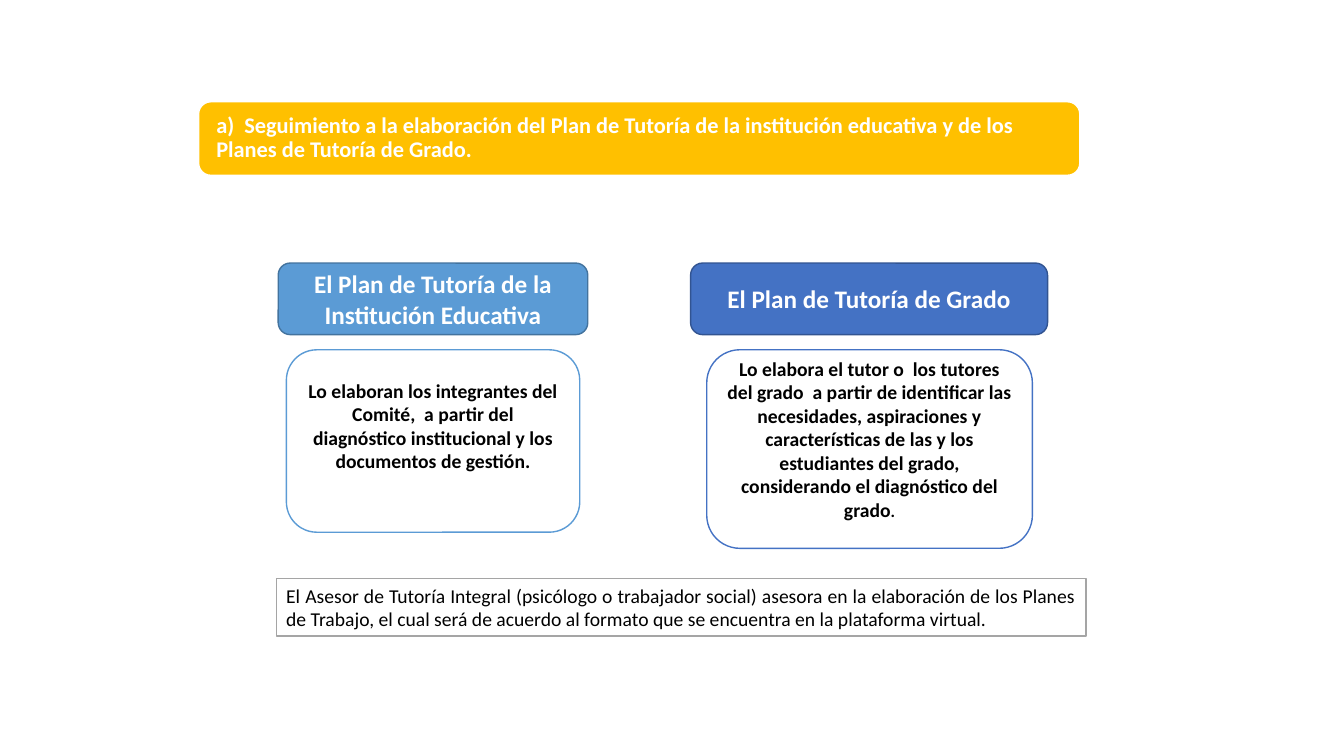
from dataclasses import dataclass

import pptx
import pptx.dml.color
import pptx.enum.shapes
import pptx.enum.text
import pptx.util

Inches = pptx.util.Inches
Pt = pptx.util.Pt
SHAPE = pptx.enum.shapes.MSO_SHAPE
ALIGN = pptx.enum.text.PP_ALIGN
ANCHOR = pptx.enum.text.MSO_ANCHOR

WHITE, BLACK, GOLD, GRAY = "FFFFFF", "000000", "FFC000", "A5A5A5"
SKY, SKY_DARK, BLUE, BLUE_DARK = "5B9BD5", "43739E", "4472C4", "325491"


@dataclass
class Box:
    """A filled, outlined box with one paragraph of text."""
    left: float
    top: float
    width: float
    height: float
    fill: str
    line: str
    text: str
    size: float
    color: str
    bold: bool = True
    align: ALIGN = ALIGN.CENTER
    anchor: ANCHOR = ANCHOR.MIDDLE
    shape: SHAPE = SHAPE.ROUNDED_RECTANGLE
    side_inset: float = 0.1
    bottom_inset: float = 0.05
    line_spacing: float = 1.0
    ending: str = ""
    ending_size: float = 12


def rgb(color: str) -> pptx.dml.color.RGBColor:
    """Turn a hex string into a colour."""
    return pptx.dml.color.RGBColor.from_string(color)


def draw_box(s: pptx.slide.Slide, box: Box) -> None:
    """Draw a box and its text on the slide."""
    sp = s.shapes.add_shape(box.shape, Inches(box.left), Inches(box.top),
                            Inches(box.width), Inches(box.height))
    sp.shadow.inherit = False
    sp.fill.solid()
    sp.fill.fore_color.rgb = rgb(box.fill)
    sp.line.color.rgb = rgb(box.line)
    sp.line.width = Pt(1)

    tf = sp.text_frame
    tf.word_wrap = True
    tf.vertical_anchor = box.anchor
    tf.margin_left = tf.margin_right = Inches(box.side_inset)
    tf.margin_top = Inches(0.05)
    tf.margin_bottom = Inches(box.bottom_inset)

    p = tf.paragraphs[0]
    p.alignment = box.align
    p.line_spacing = box.line_spacing
    p.font.name = "Calibri"
    p.font.size = Pt(box.size)
    p.font.bold = box.bold
    p.font.color.rgb = rgb(box.color)
    p.add_run().text = box.text
    if box.ending:
        r = p.add_run()
        r.text = box.ending
        r.font.size = Pt(box.ending_size)


BOXES = [
    Box(2.74, 5.74, 8.03, 0.57, WHITE, GRAY,
        "El Asesor de Tutoría Integral (psicólogo o trabajador social) asesora "
        "en la elaboración de los Planes de Trabajo, el cual será de acuerdo al "
        "formato que se encuentra en la plataforma virtual.",
        14, BLACK, bold=False, align=ALIGN.JUSTIFY, anchor=ANCHOR.TOP,
        shape=SHAPE.RECTANGLE),
    Box(1.97, 1.01, 8.74, 0.73, GOLD, WHITE,
        "a)  Seguimiento a la elaboración del Plan de Tutoría de la institución "
        "educativa y de los Planes de Tutoría de Grado.",
        16, WHITE, align=ALIGN.LEFT, side_inset=0.14, line_spacing=0.9),
    Box(2.76, 2.61, 3.07, 0.71, SKY, SKY_DARK,
        "El Plan de Tutoría de la Institución Educativa", 18, WHITE),
    Box(6.85, 2.61, 3.54, 0.71, BLUE, BLUE_DARK,
        "El Plan de Tutoría de Grado", 18, WHITE),
    Box(2.84, 3.47, 2.91, 1.81, WHITE, SKY,
        "Lo elaboran los integrantes del Comité,  a partir del diagnóstico "
        "institucional y los documentos de gestión.",
        14, BLACK, bottom_inset=0.35),
    Box(7.01, 3.47, 3.23, 1.97, WHITE, BLUE,
        "Lo elabora el tutor o  los tutores del grado  a partir de identificar "
        "las necesidades, aspiraciones y características de las y los "
        "estudiantes del grado, considerando el diagnóstico del grado",
        14, BLACK, bottom_inset=0.25, ending="."),
]

prs = pptx.Presentation()
prs.slide_width, prs.slide_height = Inches(13.33), Inches(7.5)
s = prs.slides.add_slide(prs.slide_layouts[6])
for box in BOXES:
    draw_box(s, box)
prs.save("out.pptx")
